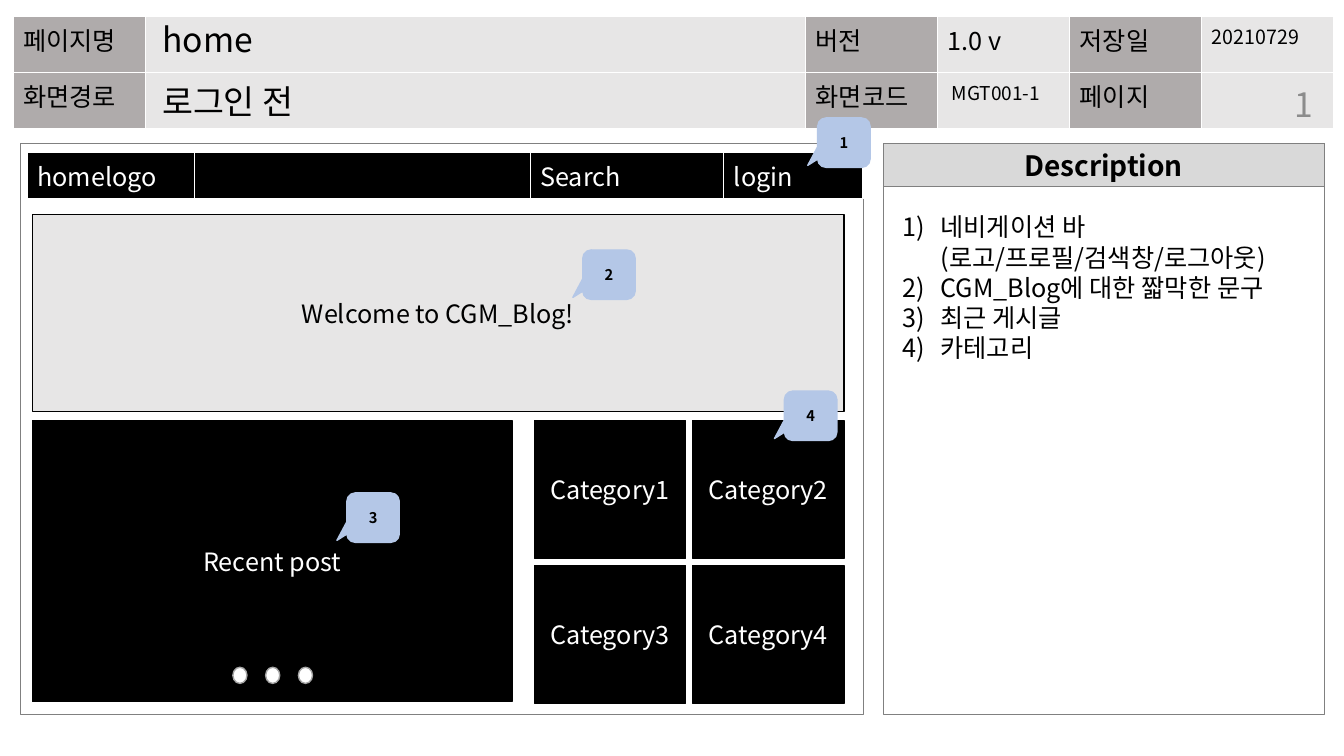
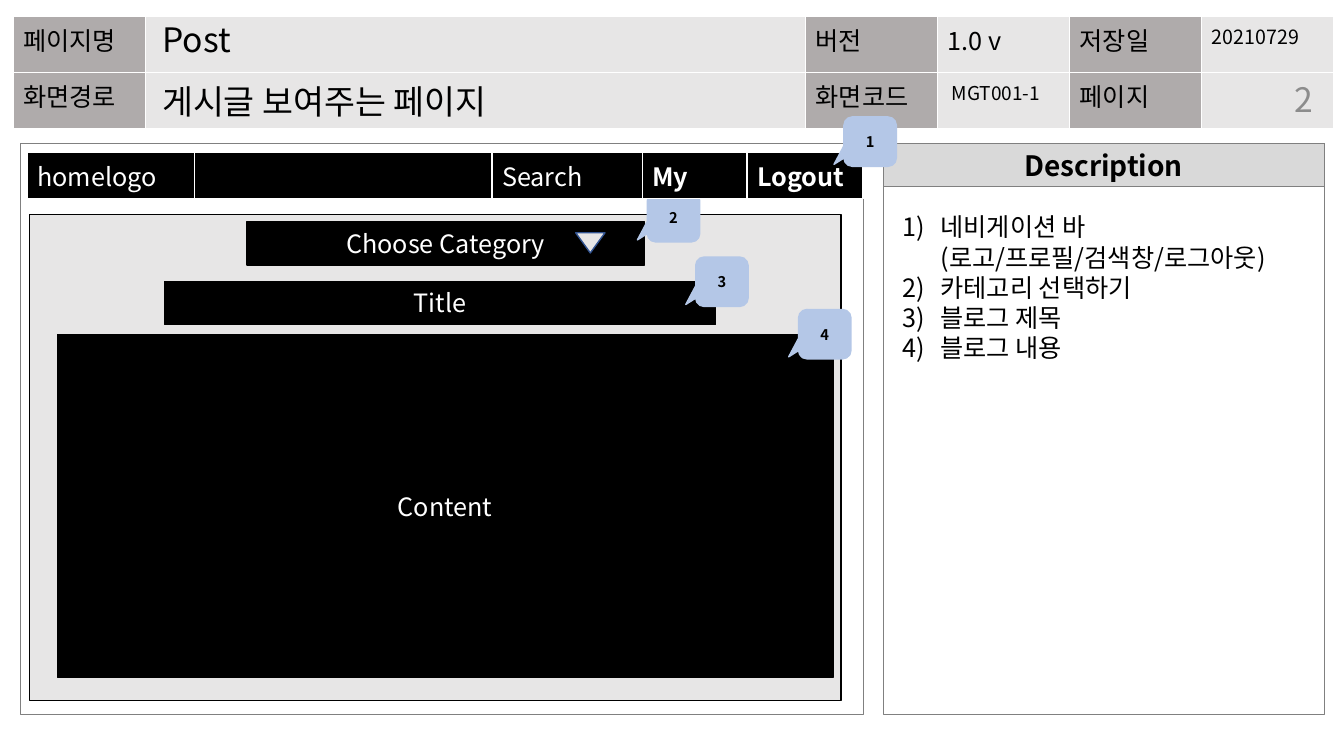
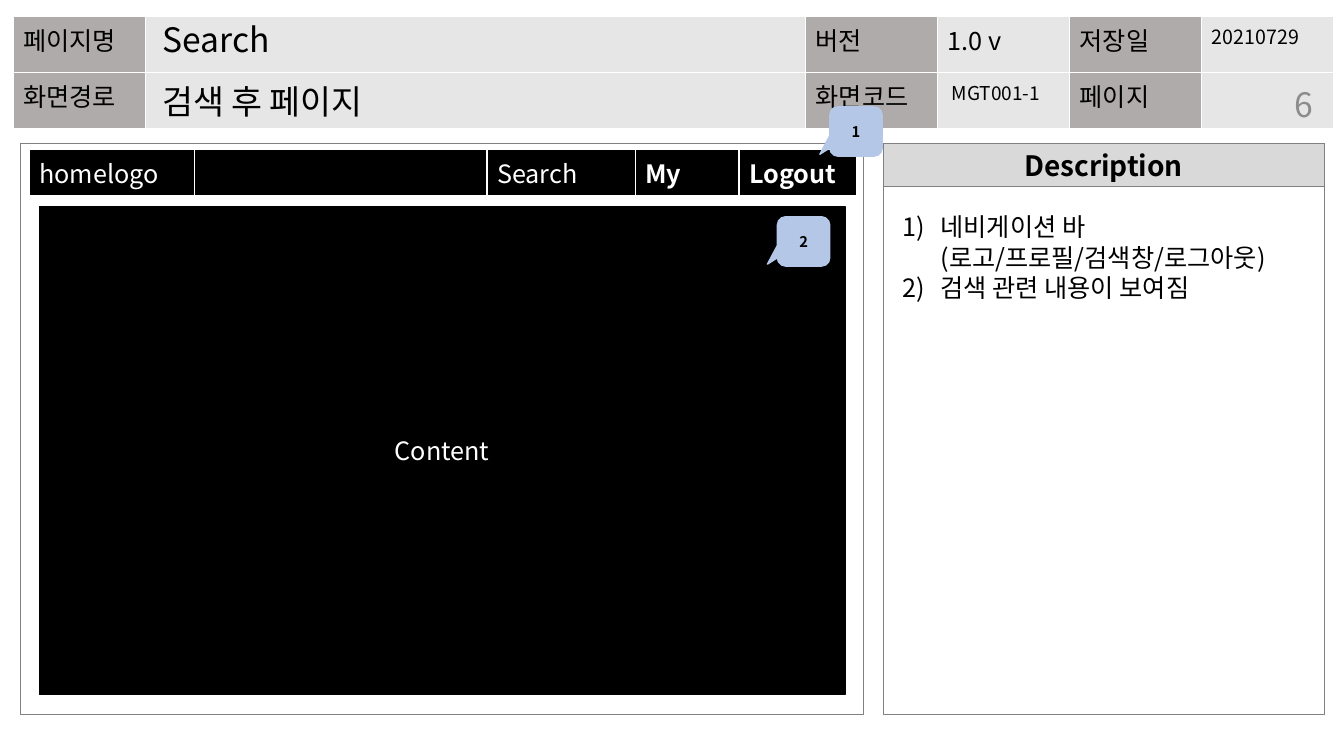
import pptx
import pptx.util
import pptx.dml.color
import pptx.enum.shapes
import pptx.enum.text
import pptx.oxml
import pptx.oxml.ns

RGBColor = pptx.dml.color.RGBColor
Inches, Pt = pptx.util.Inches, pptx.util.Pt
SHAPE = pptx.enum.shapes.MSO_SHAPE
ALIGN = pptx.enum.text.PP_ALIGN
ANCHOR = pptx.enum.text.MSO_ANCHOR
qn = pptx.oxml.ns.qn

# Shared look
FONT = "Noto Sans CJK KR"
BLACK = RGBColor(0x00, 0x00, 0x00)
WHITE = RGBColor(0xFF, 0xFF, 0xFF)
LABEL = RGBColor(0xAF, 0xAB, 0xAB)
PALE = RGBColor(0xE7, 0xE6, 0xE6)
BAND = RGBColor(0xD9, 0xD9, 0xD9)
FRAME = RGBColor(0x80, 0x80, 0x80)
NUMBER = RGBColor(0x8C, 0x8C, 0x8C)
MARKER = RGBColor(0xB4, 0xC7, 0xE7)
DOT_EDGE = RGBColor(0xA5, 0xA5, 0xA5)
ARROW_EDGE = RGBColor(0x32, 0x54, 0x91)

# Shared content
HEADER_ROWS = [
    ["페이지명", "", "버전", "1.0 v", "저장일", "20210729"],
    ["화면경로", "", "화면코드", "", "페이지", ""],
]
HEADER_UNIT = 1.31
HEADER_SPANS = [1, 5, 1, 1, 1, 1]
SCREEN_CODE = "MGT001-1"
NAVIGATION_NOTE = "네비게이션 바\v(로고/프로필/검색창/로그아웃)"
PANEL_TOP, PANEL_HEIGHT = 1.42, 5.67
SIDE_LEFT, SIDE_WIDTH = 8.76, 4.37

GUEST_MENU = ["homelogo", "", "Search", "login"]
MEMBER_MENU = ["homelogo", "", "Search", "My", "Logout"]
BOLD_ITEMS = {"My", "Logout"}

# Category tiles: two columns by two rows
TILE_LEFT, TILE_TOP, TILE_WIDTH, TILE_HEIGHT, TILE_GAP = 5.3, 4.17, 1.5, 1.37, 0.07
TILES = [
    ("box", (TILE_LEFT + index % 2 * (TILE_WIDTH + TILE_GAP),
             TILE_TOP + index // 2 * (TILE_HEIGHT + TILE_GAP),
             TILE_WIDTH, TILE_HEIGHT), f"Category{index + 1}", BLACK, WHITE)
    for index in range(4)
]

# Each wireframe lists its parts from back to front
SCREENS = [
    {
        "name": "home", "route": "로그인 전", "number": "1", "number_top": 0.78,
        "notes": [NAVIGATION_NOTE, "CGM_Blog에 대한 짧막한 문구", "최근 게시글", "카테고리"],
        "parts": [
            ("box", (0.32, 4.17, 4.76, 2.79), "Recent post", BLACK, WHITE),
            ("box", (0.32, 2.13, 8.05, 1.95), "Welcome to CGM_Blog!", PALE, BLACK),
            ("menu", (0.27, 1.51), GUEST_MENU, [1.66, 3.33, 1.92, 1.38]),
            ("dots", (2.31, 6.62), 3),
            *TILES,
            ("marker", (8.11, 1.17), "1"),
            ("marker", (5.78, 2.48), "2"),
            ("marker", (3.44, 4.89), "3"),
            ("marker", (7.78, 3.88), "4"),
        ],
    },
    {
        "name": "Post", "route": "게시글 보여주는 페이지", "number": "2", "number_top": 0.73,
        "notes": [NAVIGATION_NOTE, "카테고리 선택하기", "블로그 제목", "블로그 내용"],
        "parts": [
            ("box", (0.29, 2.13, 8.05, 4.82), "", PALE, BLACK),
            ("box", (2.45, 2.2, 3.94, 0.43), "Choose Category", BLACK, WHITE),
            ("arrow", (5.71, 2.31, 0.29, 0.2)),
            ("box", (1.63, 2.79, 5.47, 0.43), "Title", BLACK, WHITE),
            ("box", (0.57, 3.32, 7.69, 3.4), "Content", BLACK, WHITE),
            ("marker", (6.42, 1.91), "2"),
            ("marker", (6.9, 2.55), "3"),
            ("marker", (7.92, 3.07), "4"),
            ("menu", (0.27, 1.51), MEMBER_MENU, [1.66, 2.95, 1.49, 1.04, 1.15]),
            ("marker", (8.37, 1.16), "1"),
        ],
    },
    {
        "name": "Search", "route": "검색 후 페이지", "number": "6", "number_top": 0.78,
        "notes": [NAVIGATION_NOTE, "검색 관련 내용이 보여짐"],
        "parts": [
            ("menu", (0.29, 1.48), MEMBER_MENU, [1.64, 2.9, 1.47, 1.03, 1.17]),
            ("marker", (8.23, 1.06), "1"),
            ("box", (0.39, 2.05, 7.99, 4.84), "Content", BLACK, WHITE),
            ("marker", (7.71, 2.15), "2"),
        ],
    },
]


# Text and shape helpers
def style_text(frame, size, color=BLACK, bold=False, align=ALIGN.LEFT):
    for para in frame.paragraphs:
        para.alignment = align
        for span in para.runs:
            font = span.font
            font.size, font.name, font.bold = Pt(size), FONT, bold
            font.color.rgb = color
            east = pptx.oxml.parse_xml(
                f'<a:ea {pptx.oxml.ns.nsdecls("a")} typeface="{FONT}"/>')
            span._r.get_or_add_rPr().append(east)


def add_figure(shapes, kind, at, fill, edge, width=1):
    figure = shapes.add_shape(kind, *map(Inches, at))
    figure.shadow.inherit = False
    if fill is None:
        figure.fill.background()
    else:
        figure.fill.solid()
        figure.fill.fore_color.rgb = fill
    figure.line.color.rgb = edge
    figure.line.width = Pt(width)
    return figure


def put_label(figure, text, size, color, bold=False):
    frame = figure.text_frame
    frame.text = text
    frame.vertical_anchor = ANCHOR.MIDDLE
    style_text(frame, size, color, bold, ALIGN.CENTER)


def add_text(page, at, text, size, color=BLACK, align=ALIGN.LEFT, anchor=ANCHOR.TOP):
    box = page.shapes.add_textbox(*map(Inches, at))
    frame = box.text_frame
    frame.word_wrap = True
    frame.vertical_anchor = anchor
    frame.text = text
    style_text(frame, size, color, align=align)
    return box


def space_lines(frame, spacing):
    frame.paragraphs[0].line_spacing = spacing
    frame.paragraphs[0].space_before = Pt(10)


def add_grid(page, at, widths, height, rows):
    grid = page.shapes.add_table(
        len(rows), len(widths), Inches(at[0]), Inches(at[1]),
        Inches(sum(widths)), Inches(height * len(rows))).table
    grid.first_row = grid.horz_banding = False
    for column, width in zip(grid.columns, widths):
        column.width = Inches(width)
    for row in grid.rows:
        row.height = Inches(height)
    for row, texts in zip(grid.rows, rows):
        for cell, text in zip(row.cells, texts):
            cell.text = text
            for side in ("lnL", "lnR", "lnT", "lnB"):
                cell._tc.get_or_add_tcPr().append(pptx.oxml.parse_xml(
                    f'<a:{side} {pptx.oxml.ns.nsdecls("a")} w="12700"><a:solidFill>'
                    f'<a:srgbClr val="{WHITE}"/></a:solidFill></a:{side}>'))
            cell.fill.solid()
    return grid


# Wireframe parts
def add_box(page, at, text, fill, ink):
    box = add_figure(page.shapes, SHAPE.RECTANGLE, at, fill, BLACK)
    if text:
        put_label(box, text, 18, ink)


def add_menu(page, at, items, widths):
    grid = add_grid(page, at, widths, 0.46, [items])
    for cell, item in zip(grid.rows[0].cells, items):
        cell.fill.fore_color.rgb = BLACK
        style_text(cell.text_frame, 18, WHITE, item in BOLD_ITEMS)


def add_marker(page, at, text):
    marker = add_figure(page.shapes, SHAPE.ROUNDED_RECTANGULAR_CALLOUT,
                        (*at, 0.52, 0.49), MARKER, MARKER)
    for index, value in enumerate((-0.69, 0.46, 0.17)):
        marker.adjustments[index] = value
    frame = marker.text_frame
    frame.margin_left = frame.margin_right = frame.margin_top = frame.margin_bottom = 0
    put_label(marker, text, 10.5, BLACK, True)


def add_dots(page, at, count):
    group = page.shapes.add_group_shape()
    for index in range(count):
        add_figure(group.shapes, SHAPE.OVAL,
                   (at[0] + index * 0.325, at[1], 0.14, 0.16), WHITE, DOT_EDGE)


def add_arrow(page, at):
    add_figure(page.shapes, SHAPE.FLOWCHART_MERGE, at, PALE, ARROW_EDGE)


ADDERS = {"box": add_box, "menu": add_menu, "marker": add_marker,
          "dots": add_dots, "arrow": add_arrow}


# Page furniture
def add_header(page, screen):
    widths = [HEADER_UNIT * span for span in HEADER_SPANS]
    grid = add_grid(page, (0.13, 0.16), widths, 0.56, HEADER_ROWS)
    for row in grid.rows:
        for index, cell in enumerate(row.cells):
            cell.fill.fore_color.rgb = PALE if index % 2 else LABEL
            style_text(cell.text_frame, 14 if index == 5 else 18)

    title = page.shapes.title
    page.shapes._spTree.append(title._element)  # bring in front of the table
    title.left, title.top, title.width, title.height = map(Inches, (1.51, 0.18, 4.91, 0.51))
    frame = title.text_frame
    frame.text = screen["name"]
    frame.auto_size = pptx.enum.text.MSO_AUTO_SIZE.NONE
    frame.vertical_anchor = ANCHOR.TOP
    style_text(frame, 24)
    space_lines(frame, 0.9)

    route = add_text(page, (1.51, 0.8, 6.42, 0.51), screen["route"], 24)
    space_lines(route.text_frame, 0.9)
    code = add_text(page, (9.34, 0.8, 1.18, 0.43), SCREEN_CODE, 13.6)
    space_lines(code.text_frame, 0.8)
    add_text(page, (11.94, screen["number_top"], 1.18, 0.5), screen["number"], 24,
             NUMBER, ALIGN.RIGHT, ANCHOR.MIDDLE)


def add_panels(page):
    heading = add_figure(page.shapes, SHAPE.RECTANGLE,
                         (SIDE_LEFT, PANEL_TOP, SIDE_WIDTH, 0.43), BAND, FRAME, 0.25)
    put_label(heading, "Description", 20, BLACK, True)
    heading.text_frame.word_wrap = False
    for left, width in ((0.2, 8.36), (SIDE_LEFT, SIDE_WIDTH)):
        add_figure(page.shapes, SHAPE.RECTANGLE,
                   (left, PANEL_TOP, width, PANEL_HEIGHT), None, FRAME, 0.25)


def add_notes(page, notes):
    height = 0.1 + 0.3 * (len(notes) + 1)
    box = add_text(page, (8.85, 2.05, 4.19, height), "\n".join(notes), 18)
    for para in box.text_frame.paragraphs:
        props = para._p.get_or_add_pPr()
        props.set("marL", str(Inches(0.38)))
        props.set("indent", str(-Inches(0.38)))
        props.append(pptx.oxml.parse_xml(
            f'<a:buAutoNum {pptx.oxml.ns.nsdecls("a")} type="arabicParenR"/>'))
        for line_break in para._p.findall(qn("a:br")):
            line_break.append(pptx.oxml.parse_xml(
                f'<a:rPr {pptx.oxml.ns.nsdecls("a")} sz="1800"/>'))


def main():
    deck = pptx.Presentation()
    deck.slide_width, deck.slide_height = Inches(13.33), Inches(7.5)
    for screen in SCREENS:
        page = deck.slides.add_slide(deck.slide_layouts[5])
        add_header(page, screen)
        add_panels(page)
        add_notes(page, screen["notes"])
        for kind, *details in screen["parts"]:
            ADDERS[kind](page, *details)
    deck.save("out.pptx")


if __name__ == "__main__":
    main()
